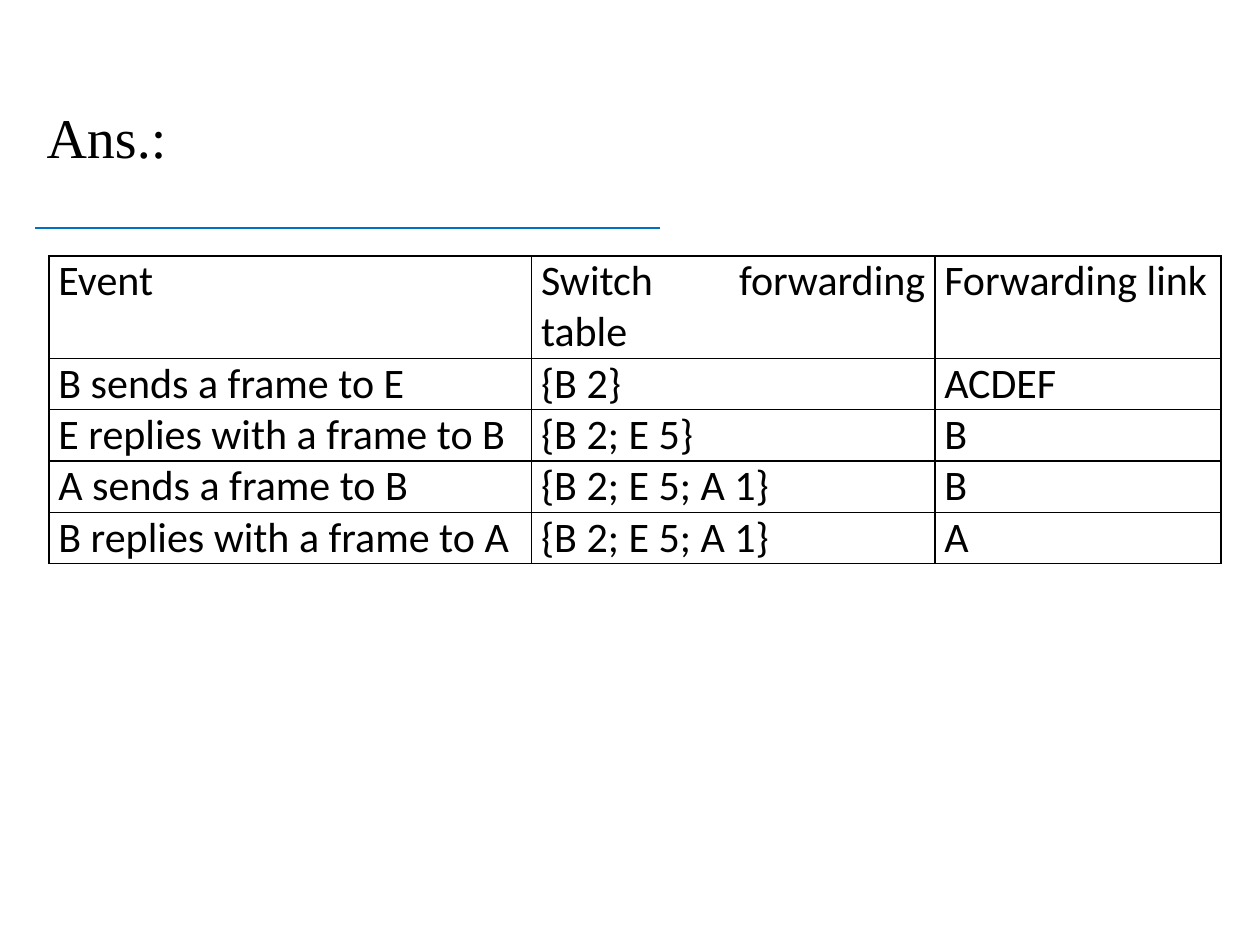
from lxml.etree import SubElement
from pptx import Presentation
from pptx.dml.color import RGBColor
from pptx.enum.shapes import MSO_CONNECTOR
from pptx.enum.text import MSO_ANCHOR, PP_ALIGN
from pptx.oxml.ns import qn
from pptx.util import Pt

HEADING = "Ans.:"
ROWS = [
    ("Event", "Switch forwarding table", "Forwarding link"),
    ("B sends a frame to E", "{B 2}", "ACDEF"),
    ("E replies with a frame to B", "{B 2; E 5}", "B"),
    ("A sends a frame to B", "{B 2; E 5; A 1}", "B"),
    ("B replies with a frame to A", "{B 2; E 5; A 1}", "A"),
]
COLORS = {"text": "000000", "border": "000000", "rule": "0070C0"}
COLUMN_WIDTHS = (275.8, 230.4, 163.4)
LINE_HEIGHT = 29.3
ROW_HEIGHTS = [2 * LINE_HEIGHT] + [LINE_HEIGHT] * (len(ROWS) - 1)
TABLE_LEFT, TABLE_TOP = 28, 146.2
RULE_LEFT, RULE_RIGHT, RULE_Y = 20.2, 377.3, 130.3


def write(paragraph, text, font_name, size, align):
    paragraph.alignment = align
    run = paragraph.add_run()
    run.text = text
    run.font.name = font_name
    run.font.size = Pt(size)
    run.font.color.rgb = RGBColor.from_string(COLORS["text"])


def add_borders(cell):
    properties = cell._tc.get_or_add_tcPr()
    for side in ("lnL", "lnR", "lnT", "lnB"):
        border = SubElement(properties, qn(f"a:{side}"), w=str(Pt(1)))
        fill = SubElement(border, qn("a:solidFill"))
        SubElement(fill, qn("a:srgbClr"), val=COLORS["border"])


def add_rule(slide):
    rule = slide.shapes.add_connector(
        MSO_CONNECTOR.STRAIGHT,
        Pt(RULE_LEFT), Pt(RULE_Y), Pt(RULE_RIGHT), Pt(RULE_Y))
    rule.line.color.rgb = RGBColor.from_string(COLORS["rule"])
    rule.line.width = Pt(1.25)
    SubElement(rule._element.spPr, qn("a:effectLst"))


def add_heading(slide):
    heading = slide.shapes.title
    heading.left, heading.top = Pt(19.4), Pt(54.7)
    heading.width, heading.height = Pt(685.4), Pt(48)
    frame = heading.text_frame
    frame.vertical_anchor = MSO_ANCHOR.TOP
    write(frame.paragraphs[0], HEADING, "Times New Roman", 32, PP_ALIGN.LEFT)


def add_event_table(slide):
    table = slide.shapes.add_table(
        len(ROWS), len(COLUMN_WIDTHS), Pt(TABLE_LEFT), Pt(TABLE_TOP),
        Pt(sum(COLUMN_WIDTHS)), Pt(sum(ROW_HEIGHTS))).table
    table.first_row = table.horz_banding = False
    for column, width in zip(table.columns, COLUMN_WIDTHS):
        column.width = Pt(width)
    for row, height, texts in zip(table.rows, ROW_HEIGHTS, ROWS):
        row.height = Pt(height)
        for cell, text in zip(row.cells, texts):
            cell.margin_left = cell.margin_right = Pt(5.4)
            cell.margin_top = cell.margin_bottom = 0
            add_borders(cell)
            cell.fill.background()
            write(cell.text_frame.paragraphs[0], text, "Calibri", 24,
                  PP_ALIGN.JUSTIFY)


def main():
    presentation = Presentation()
    presentation.slide_width, presentation.slide_height = Pt(720), Pt(540)
    slide = presentation.slides.add_slide(presentation.slide_layouts[5])
    add_rule(slide)
    add_heading(slide)
    add_event_table(slide)
    presentation.save("out.pptx")


if __name__ == "__main__":
    main()
